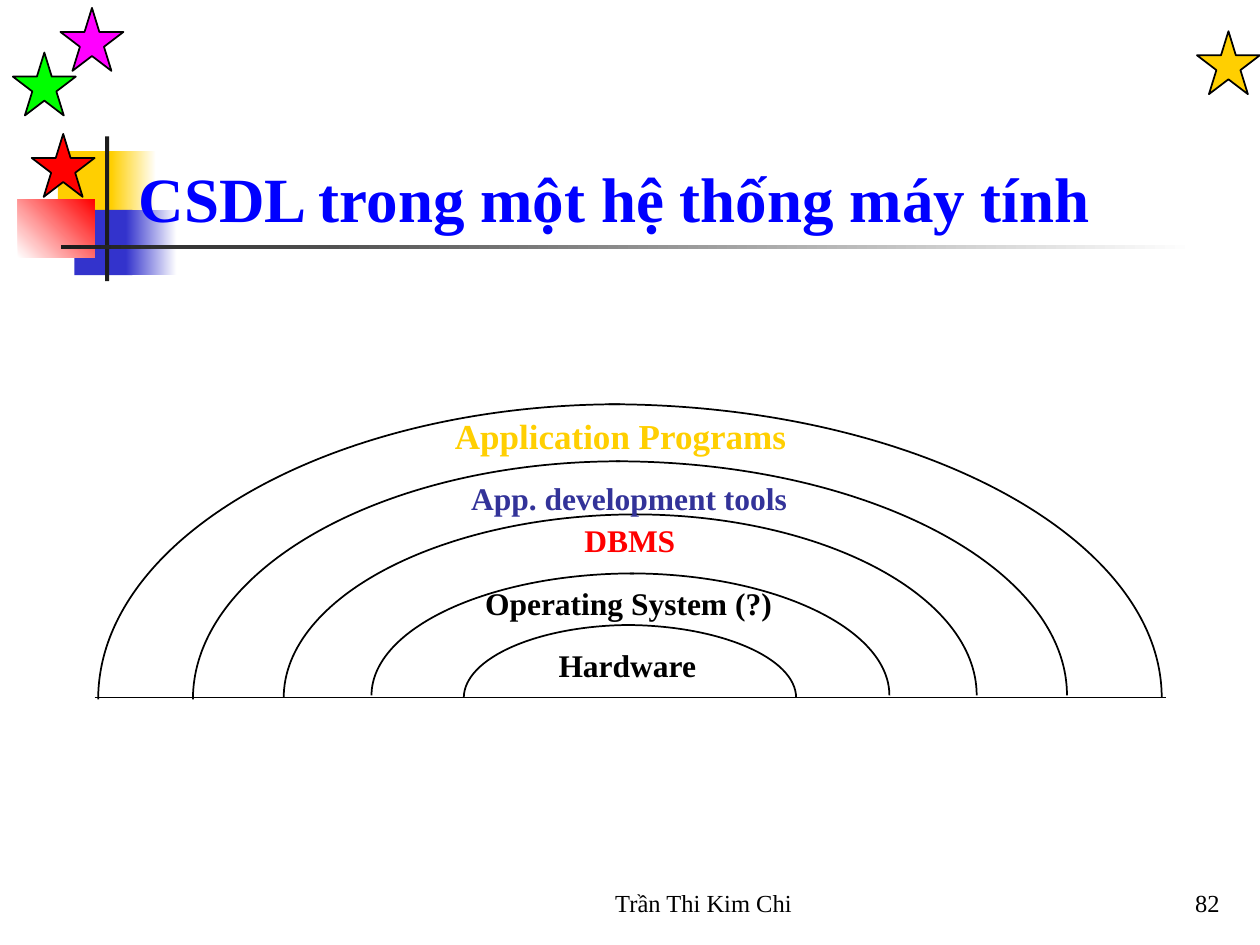
from dataclasses import dataclass
from typing import Optional

from lxml import etree
from pptx import Presentation
from pptx.dml.color import RGBColor
from pptx.enum.shapes import MSO_CONNECTOR, MSO_SHAPE
from pptx.enum.text import MSO_ANCHOR, MSO_AUTO_SIZE, PP_ALIGN
from pptx.oxml.ns import qn
from pptx.util import Cm, Pt

RECTANGLE, STAR = MSO_SHAPE.RECTANGLE, MSO_SHAPE.STAR_5_POINT
STRAIGHT = MSO_CONNECTOR.STRAIGHT
TOP, BOTTOM = MSO_ANCHOR.TOP, MSO_ANCHOR.BOTTOM
LEFT, CENTER, RIGHT = PP_ALIGN.LEFT, PP_ALIGN.CENTER, PP_ALIGN.RIGHT
GROW = MSO_AUTO_SIZE.SHAPE_TO_FIT_TEXT
NO_FIT = MSO_AUTO_SIZE.NONE

FONT = "Times New Roman"
BLACK = RGBColor(0x00, 0x00, 0x00)
WHITE = RGBColor(0xFF, 0xFF, 0xFF)
GOLD = RGBColor(0xFF, 0xCF, 0x01)
BLUE = RGBColor(0x33, 0x33, 0xCC)
RED = RGBColor(0xFF, 0x00, 0x00)
GREEN = RGBColor(0x00, 0xFF, 0x00)
MAGENTA = RGBColor(0xFF, 0x00, 0xFF)
CHARCOAL = RGBColor(0x1C, 0x1C, 0x1C)
INDIGO = RGBColor(0x33, 0x33, 0x99)
TITLE_BLUE = RGBColor(0x00, 0x00, 0xFF)

STAR_SIZE = 1.27
ROUNDNESS = 0.55  # Bézier handle length for a quarter ellipse


@dataclass
class Block:
    """A borderless rectangle, in cm; a second colour makes a gradient."""
    left: float
    top: float
    width: float
    height: float
    color: RGBColor
    end_color: Optional[RGBColor] = None
    angle: float = 0


@dataclass
class Star:
    left: float
    top: float
    color: RGBColor


@dataclass
class Dome:
    """Two quarter ellipses, in cm, that meet at the top."""
    left: float
    left_apex: float
    right_apex: float
    right: float
    top: float
    left_base: float
    right_base: float


@dataclass
class Label:
    text: str
    left: float
    top: float
    width: float
    height: float
    color: RGBColor = BLACK
    size: int = 18
    bold: bool = True
    wrap: bool = True
    align: PP_ALIGN = LEFT
    anchor: MSO_ANCHOR = TOP
    fit: MSO_AUTO_SIZE = GROW


BLOCKS = [
    Block(1.17, 3.05, 1.22, 1.32, GOLD),
    Block(2.24, 3.05, 0.91, 1.32, GOLD, WHITE),
    Block(1.5, 4.23, 1.17, 1.32, BLUE),
    Block(2.54, 4.23, 1.02, 1.32, BLUE, WHITE),
    Block(0.36, 4.02, 1.55, 1.17, WHITE, RED, 45),
    Block(2.12, 2.75, 0.08, 2.92, CHARCOAL),
    Block(1.23, 4.94, 22.86, 0.09, CHARCOAL, WHITE),
]
STARS = [
    Star(24.13, 0.63, GOLD),
    Star(0.64, 2.7, RED),
    Star(0.26, 1.06, GREEN),
    Star(1.22, 0.16, MAGENTA),
]
DOMES = [  # from the innermost layer outwards
    Dome(9.35, 12.73, 12.6, 16.05, 12.6, 14.07, 14.07),
    Dome(7.49, 12.78, 12.7, 17.93, 11.56, 14.02, 14.02),
    Dome(5.72, 12.85, 12.78, 19.69, 10.37, 14.07, 14.02),
    Dome(3.89, 12.5, 12.42, 21.51, 9.3, 14.1, 14.02),
    Dome(1.98, 12.5, 12.27, 23.42, 8.15, 14.1, 14.07),
]
LABELS = [
    Label("Application Programs", 8.92, 8.23, 7.57, 1.09, GOLD, size=20),
    Label("Operating System (?)", 9.53, 11.64, 6.3, 1.02),
    Label("DBMS", 11.53, 10.38, 2.34, 1.02, RED, wrap=False),
    Label("App. development tools", 9.25, 9.53, 6.92, 1.02, INDIGO, wrap=False),
    Label("Hardware", 11.01, 12.9, 3.38, 1.02),
    Label("Trần Thi Kim Chi", 10.16, 17.35, 8.05, 1.27, size=14, bold=False,
          align=CENTER, anchor=BOTTOM, fit=NO_FIT),
    Label("82", 19.56, 17.35, 5.28, 1.27, size=14, bold=False,
          align=RIGHT, anchor=BOTTOM, fit=NO_FIT),
]
TITLE = Label("CSDL trong một hệ thống máy tính", 2.54, 1.69, 21.59, 3.18,
              TITLE_BLUE, size=36, anchor=BOTTOM, fit=NO_FIT)


def outline(shape) -> None:
    shape.line.color.rgb = BLACK
    shape.line.width = Pt(1)


def draw_block(slide, block: Block) -> None:
    shape = slide.shapes.add_shape(
        RECTANGLE, Cm(block.left), Cm(block.top), Cm(block.width), Cm(block.height))
    shape.shadow.inherit = False
    shape.line.fill.background()
    if block.end_color is None:
        shape.fill.solid()
        shape.fill.fore_color.rgb = block.color
        return
    shape.fill.gradient()
    shape.fill.gradient_angle = block.angle
    for stop, color in zip(shape.fill.gradient_stops, (block.color, block.end_color)):
        stop.color.rgb = color


def draw_star(slide, star: Star) -> None:
    shape = slide.shapes.add_shape(
        STAR, Cm(star.left), Cm(star.top), Cm(STAR_SIZE), Cm(STAR_SIZE))
    shape.shadow.inherit = False
    shape.fill.solid()
    shape.fill.fore_color.rgb = star.color
    outline(shape)


def draw_quarter(group, apex: float, side: float, top: float, base: float) -> None:
    handles_and_end = [
        (Cm(apex + ROUNDNESS * (side - apex)), Cm(top)),
        (Cm(side), Cm(base - ROUNDNESS * (base - top))),
        (Cm(side), Cm(base)),
    ]
    builder = group.shapes.build_freeform(Cm(apex), Cm(top))
    builder.add_line_segments(handles_and_end, close=False)
    shape = builder.convert_to_shape()
    # Join the three segments into one Bézier curve
    segments = list(shape._element.iter(qn("a:lnTo")))
    curve = etree.SubElement(segments[0].getparent(), qn("a:cubicBezTo"))
    for segment in segments:
        curve.append(segment[0])
        segment.getparent().remove(segment)
    shape.shadow.inherit = False
    shape.fill.background()
    outline(shape)


def draw_dome(slide, dome: Dome) -> None:
    group = slide.shapes.add_group_shape()
    draw_quarter(group, dome.right_apex, dome.right, dome.top, dome.right_base)
    draw_quarter(group, dome.left_apex, dome.left, dome.top, dome.left_base)


def draw_base_line(slide) -> None:
    line = slide.shapes.add_connector(STRAIGHT, Cm(1.91), Cm(14.06), Cm(23.5), Cm(14.06))
    outline(line)
    etree.SubElement(line._element.spPr, qn("a:effectLst"))


def write_label(shape, label: Label) -> None:
    frame = shape.text_frame
    frame.text = label.text
    frame.word_wrap = label.wrap
    frame.auto_size = label.fit
    frame.vertical_anchor = label.anchor
    paragraph = frame.paragraphs[0]
    paragraph.alignment = label.align
    paragraph.font.name = FONT
    paragraph.font.size = Pt(label.size)
    paragraph.font.bold = label.bold
    paragraph.font.color.rgb = label.color


def draw_label(slide, label: Label) -> None:
    box = slide.shapes.add_textbox(
        Cm(label.left), Cm(label.top), Cm(label.width), Cm(label.height))
    write_label(box, label)


def place_title(slide) -> None:
    title = slide.shapes.title
    title.left, title.top = Cm(TITLE.left), Cm(TITLE.top)
    title.width, title.height = Cm(TITLE.width), Cm(TITLE.height)
    write_label(title, TITLE)
    slide.shapes._spTree.append(title._element)  # bring to front


def main() -> None:
    presentation = Presentation()
    presentation.slide_width, presentation.slide_height = Cm(25.4), Cm(19.05)
    slide = presentation.slides.add_slide(presentation.slide_layouts[5])
    # Corner decoration
    for block in BLOCKS:
        draw_block(slide, block)
    for star in STARS:
        draw_star(slide, star)
    # Layers of the computer system
    draw_base_line(slide)
    for dome in DOMES:
        draw_dome(slide, dome)
    # Layer names, footer and title
    for label in LABELS:
        draw_label(slide, label)
    place_title(slide)
    presentation.save("out.pptx")


if __name__ == "__main__":
    main()
